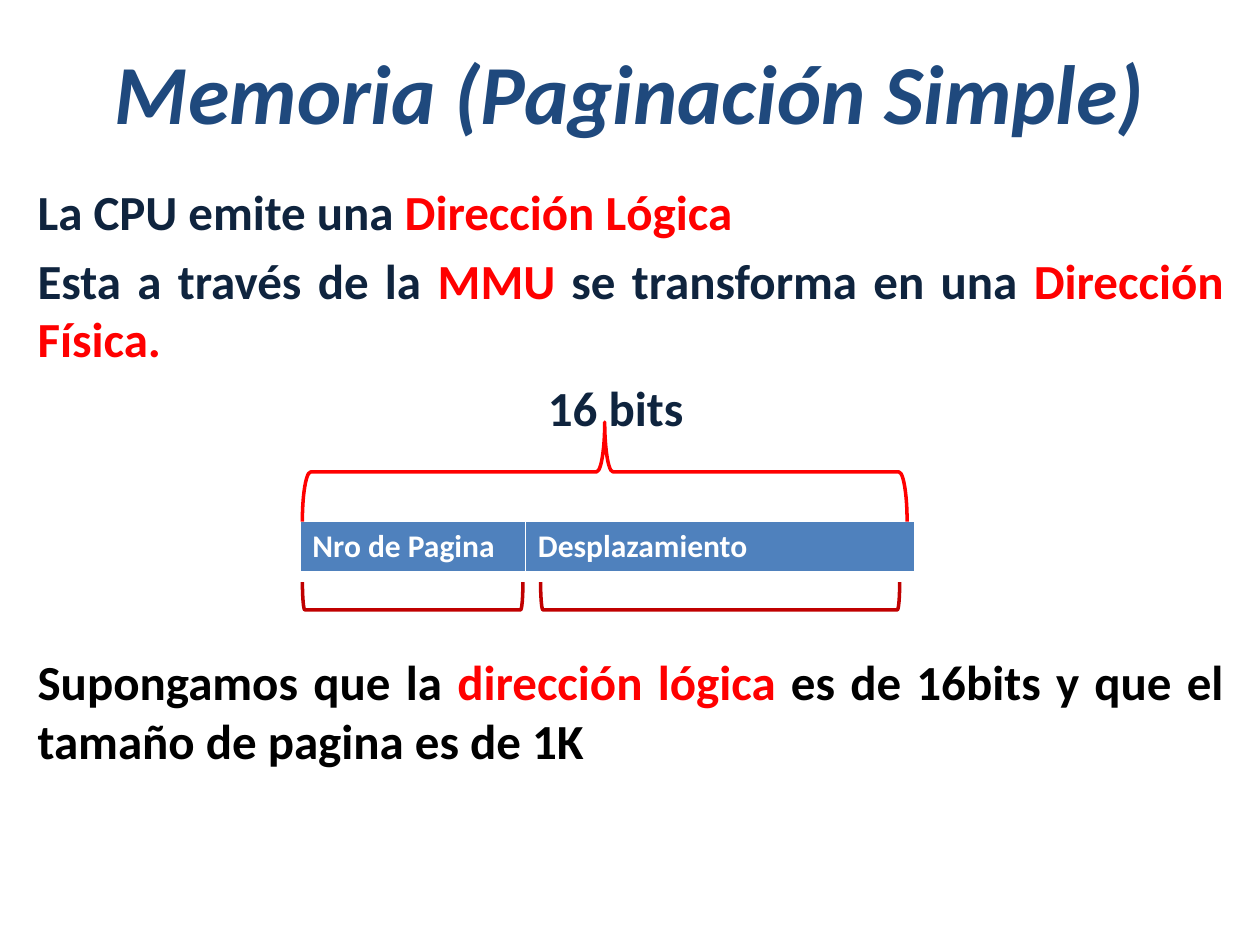
from pptx import Presentation, util as u
from pptx.dml.color import RGBColor
from pptx.enum import shapes, text
from pptx.oxml import parse_xml
from pptx.oxml.ns import nsdecls

FONT = "Calibri"
COLORS = {"title": "1F497D", "navy": "0F243E", "red": "FF0000", "dark_red": "C00000",
          "black": "000000", "cell": "4F81BD", "white": "FFFFFF"}

# Content
TITLE = "Memoria (Paginación Simple)"
# Each paragraph: space before (pt), left indent (in), runs
BODY = [
    (0, 0, [("La CPU emite una ", "navy"), ("Dirección Lógica", "red")]),
    (5.6, 0, [("Esta a través de la ", "navy"), ("MMU", "red"),
              (" se transforma en una ", "navy"), ("Dirección Física.", "red")]),
    (5.6, 4.05, [("16 bits", "navy")]),
    (123, 0, [("Supongamos que la ", "black"), ("dirección lógica ", "red"),
              ("es de 16bits y que el tamaño de pagina es de 1K", "black")]),
]
FIELDS = [("Nro de Pagina", 1.79), ("Desplazamiento", 3.09)]
TABLE_LEFT, TABLE_TOP, TABLE_HEIGHT = 2.38, 4.14, 0.41
BRACE, BRACKET = shapes.MSO_SHAPE.RIGHT_BRACE, shapes.MSO_SHAPE.RIGHT_BRACKET
# Each mark as seen: shape, rotation, left, top, width, height, colour
MARKS = [
    (BRACE, 270, 2.4, 3.35, 4.8, 0.79, "red"),
    (BRACKET, 90, 4.29, 4.62, 2.85, 0.22, "dark_red"),
    (BRACKET, 90, 2.4, 4.62, 1.75, 0.22, "dark_red"),
]


def rgb(name):
    return RGBColor.from_string(COLORS[name])


def style(font, size, color, italic=False):
    font.name, font.size, font.bold, font.italic = FONT, u.Pt(size), True, italic
    font.color.rgb = rgb(color)


def add_body(s):
    tf = s.shapes.add_textbox(*map(u.Inches, (0.2, 1.39, 9.61, 5.98))).text_frame
    tf.word_wrap = True
    for i, (before, indent, runs) in enumerate(BODY):
        p = tf.paragraphs[0] if i == 0 else tf.add_paragraph()
        p.alignment = text.PP_ALIGN.JUSTIFY
        p.space_before = u.Pt(before)
        p._p.get_or_add_pPr().set("marL", str(u.Inches(indent)))
        for words, color in runs:
            r = p.add_run()
            r.text = words
            style(r.font, 28, color)


def add_borders(cell):
    for side, width in (("L", 1), ("R", 1), ("T", 1), ("B", 3)):
        cell._tc.get_or_add_tcPr().append(parse_xml(
            f'<a:ln{side} {nsdecls("a")} w="{u.Pt(width)}"><a:solidFill>'
            f'<a:srgbClr val="{COLORS["white"]}"/></a:solidFill></a:ln{side}>'))


def add_address(s):
    width = sum(w for _, w in FIELDS)
    table = s.shapes.add_table(1, len(FIELDS), *map(
        u.Inches, (TABLE_LEFT, TABLE_TOP, width, TABLE_HEIGHT))).table
    for i, (name, w) in enumerate(FIELDS):
        table.columns[i].width = u.Inches(w)
        cell = table.cell(0, i)
        add_borders(cell)
        cell.fill.solid()
        cell.fill.fore_color.rgb = rgb("cell")
        cell.text = name
        style(cell.text_frame.paragraphs[0].runs[0].font, 18, "white")


def add_mark(s, kind, rotation, x, y, w, h, color):
    # A quarter turn swaps width and height about the centre
    left, top = x + (w - h) / 2, y + (h - w) / 2
    sp = s.shapes.add_shape(kind, *map(u.Inches, (left, top, h, w)))
    sp.rotation = rotation
    sp.shadow.inherit = False
    sp.fill.background()
    sp.line.color.rgb = rgb(color)
    sp.line.width = u.Pt(2)


def main():
    prs = Presentation()
    prs.slide_width, prs.slide_height = u.Inches(10), u.Inches(7.5)
    s = prs.slides.add_slide(prs.slide_layouts[5])

    # Title
    title = s.shapes.title
    title.left, title.top, title.width, title.height = map(u.Inches, (0.5, 0.13, 9, 1.18))
    title.text_frame.text = TITLE
    title.text_frame.vertical_anchor = text.MSO_ANCHOR.MIDDLE
    p = title.text_frame.paragraphs[0]
    p.alignment = text.PP_ALIGN.CENTER
    style(p.runs[0].font, 48, "title", italic=True)

    # Explanation, address layout and its brackets
    add_body(s)
    add_address(s)
    for mark in MARKS:
        add_mark(s, *mark)
    prs.save("out.pptx")


if __name__ == "__main__":
    main()
